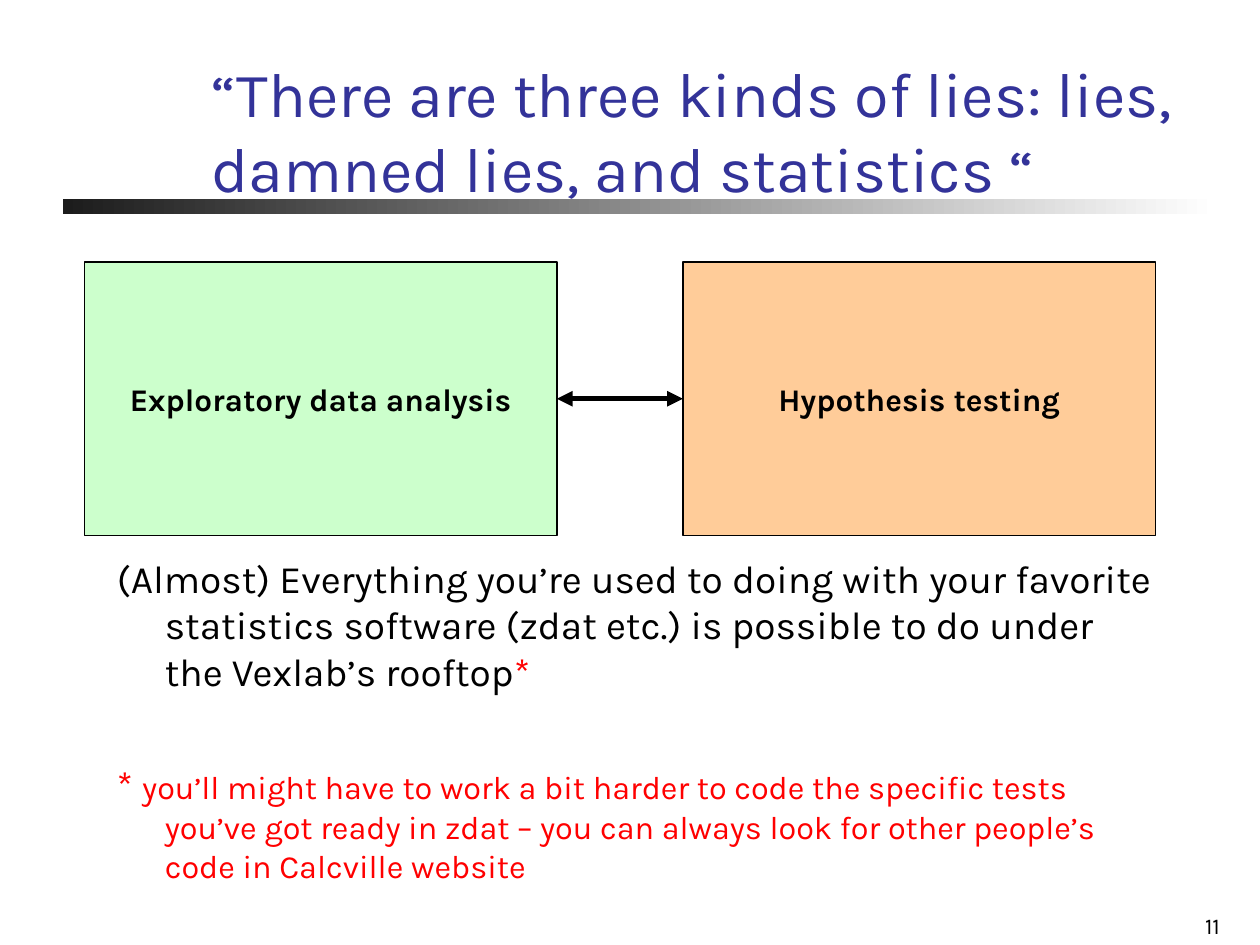
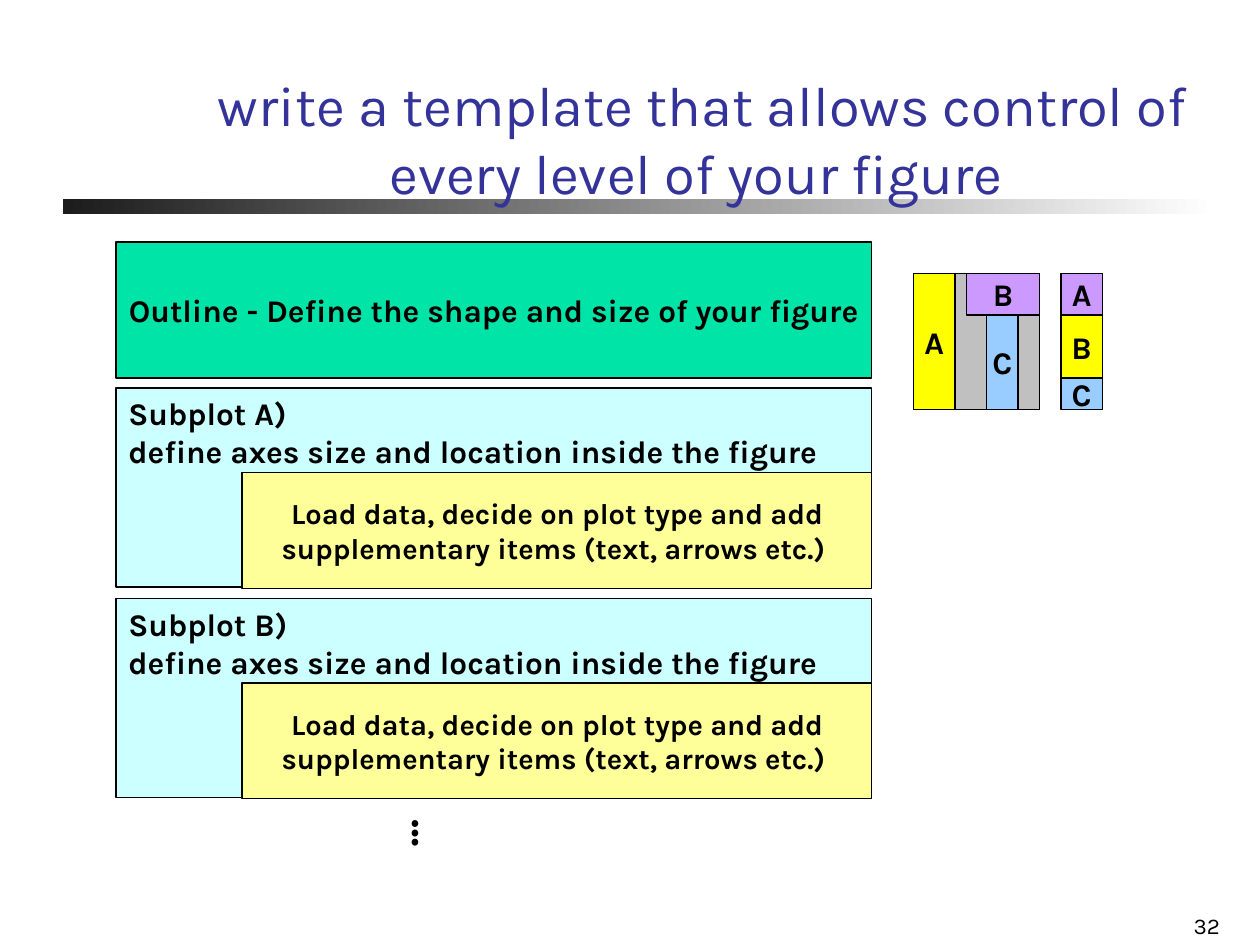
from pptx import Presentation
from pptx.dml.color import RGBColor
from pptx.enum.shapes import MSO_CONNECTOR, MSO_SHAPE
from pptx.enum.text import MSO_ANCHOR, PP_ALIGN
from pptx.oxml.ns import qn
from pptx.util import Inches, Pt
from lxml.etree import SubElement

FONT = "Karla"
BLACK, RED, NAVY = "000000", "FF0000", "333399"
YELLOW, PURPLE, BLUE, GREY = "FFFF00", "CC99FF", "99CCFF", "C0C0C0"
LEFT, CENTER, RIGHT = PP_ALIGN.LEFT, PP_ALIGN.CENTER, PP_ALIGN.RIGHT
TOP, MIDDLE, BOTTOM = MSO_ANCHOR.TOP, MSO_ANCHOR.MIDDLE, MSO_ANCHOR.BOTTOM
LABEL = {"size": Pt(18), "bold": True}


def add_text(s, at, paragraphs, font, color=BLACK, fill=None, align=LEFT, anchor=TOP, wrap=True):
    """Add a text box, or an outlined rectangle if fill is given.

    A paragraph is a list of (text, font values, colour) runs, or a plain string.
    """
    at = [Inches(v) for v in at]
    if fill:
        sp = s.shapes.add_shape(MSO_SHAPE.RECTANGLE, *at)
        sp.shadow.inherit = False
        sp.fill.solid()
        sp.fill.fore_color.rgb = RGBColor.from_string(fill)
        sp.line.color.rgb = RGBColor.from_string(BLACK)
        sp.line.width = Pt(0.75)
    else:
        sp = s.shapes.add_textbox(*at)
    tf = sp.text_frame
    tf.word_wrap = wrap
    tf.vertical_anchor = anchor
    for i, runs in enumerate(paragraphs):
        p = tf.add_paragraph() if i else tf.paragraphs[0]
        p.alignment = align
        for text, values, run_color in [(runs, font, color)] if isinstance(runs, str) else runs:
            r = p.add_run()
            r.text = text
            for name, value in {"name": FONT, **values}.items():
                setattr(r.font, name, value)
            r.font.color.rgb = RGBColor.from_string(run_color)
    return sp


prs = Presentation()
prs.slide_width, prs.slide_height = Inches(10), Inches(7.5)

# Both slides: gradient band, page number and title
slides = []
for number, title, size, align in [
    ("11", "“There are three kinds of lies: lies, damned lies, and statistics “", 36, LEFT),
    ("32", "write a template that allows control of every level of your figure ", 32, CENTER),
]:
    s = prs.slides.add_slide(prs.slide_layouts[6])
    band = s.shapes.add_shape(MSO_SHAPE.RECTANGLE, Inches(0.5), Inches(1.58), Inches(9.16), Inches(0.12))
    band.shadow.inherit = False
    band.line.fill.background()
    band.fill.gradient()
    band.fill.gradient_angle = 0
    for stop, color in zip(band.fill.gradient_stops, ["1C1C1C", "FFFFFF"]):
        stop.color.rgb = RGBColor.from_string(color)
    add_text(s, (7.7, 7.17, 2.08, 0.33), [number], {"size": Pt(12.9)}, align=RIGHT, anchor=BOTTOM)
    add_text(s, (1.58, 0.08, 8, 1.6), [title], {"size": Pt(size)}, NAVY, align=align, anchor=BOTTOM)
    slides.append(s)
lies, template = slides

# Slide 1: two approaches joined by an arrow, with a remark below
body, note = {"size": Pt(22.2)}, {"size": Pt(18.5)}
remark = add_text(lies, (0.83, 4.35, 8.45, 2.7), [
    [("(Almost) Everything you’re used to doing with your favorite statistics software "
      "(zdat etc.) is possible to do under the Vexlab’s rooftop", body, BLACK),
     ("*", body, RED)],
    [("* ", body, RED),
     ("you’ll might have to work a bit harder to code the specific tests you’ve got ready in zdat "
      "– you can always look for other people’s code in Calcville website", note, RED)],
], body)
for p in remark.text_frame.paragraphs:
    pPr = p._p.get_or_add_pPr()
    pPr.set("marL", str(Inches(0.38)))
    pPr.set("indent", str(Inches(-0.38)))
remark.text_frame.paragraphs[1].space_before = Pt(38)

explore, test = [
    add_text(lies, (x, 2.08, 3.75, 2.17), [label], LABEL, fill=fill, align=CENTER, anchor=MIDDLE, wrap=False)
    for x, label, fill in [(0.67, "Exploratory data analysis", "CCFFCC"), (5.42, "Hypothesis testing", "FFCC99")]
]
arrow = lies.shapes.add_connector(MSO_CONNECTOR.STRAIGHT, 0, 0, 0, 0)
arrow.begin_connect(explore, 3)
arrow.end_connect(test, 1)
arrow.line.color.rgb = RGBColor.from_string(BLACK)
arrow.line.width = Pt(3)
for end in ("a:headEnd", "a:tailEnd"):
    SubElement(arrow.line._get_or_add_ln(), qn(end), type="triangle")
SubElement(arrow._element.spPr, qn("a:effectLst"))

# Slide 2: outline, then one block per subplot
add_text(template, (0.92, 1.92, 6, 1.08), ["Outline - Define the shape and size of your figure"],
         LABEL, fill="00E4A8", align=CENTER, anchor=MIDDLE, wrap=False)
for i, letter in enumerate("AB"):
    y = 3.08 + 1.67 * i
    add_text(template, (0.92, y, 6, 1.58),
             [f"Subplot {letter})", "define axes size and location inside the figure"], LABEL, fill="CCFFFF")
    add_text(template, (1.92, y + 0.67, 5, 0.92),
             ["Load data, decide on plot type and add supplementary items (text, arrows etc.) "],
             {"size": Pt(16.6), "bold": True}, fill="FFFF99", align=CENTER, anchor=MIDDLE)
dots = add_text(template, (3.16, 6.41, 0.5, 0.5), ["…"], {"size": Pt(24), "bold": True})
dots.rotation = 90

# Two sample figure layouts
for label, fill, at in [
    ("", GREY, (7.25, 2.17, 1, 1.08)),
    ("A", YELLOW, (7.25, 2.17, 0.33, 1.08)),
    ("B", PURPLE, (7.67, 2.17, 0.58, 0.33)),
    ("C", BLUE, (7.83, 2.5, 0.25, 0.75)),
    ("A", PURPLE, (8.42, 2.17, 0.33, 0.33)),
    ("B", YELLOW, (8.42, 2.5, 0.33, 0.5)),
    ("C", BLUE, (8.42, 3, 0.33, 0.25)),
]:
    add_text(template, at, [label] if label else [], LABEL, fill=fill, align=CENTER, anchor=MIDDLE, wrap=False)

prs.save("out.pptx")
